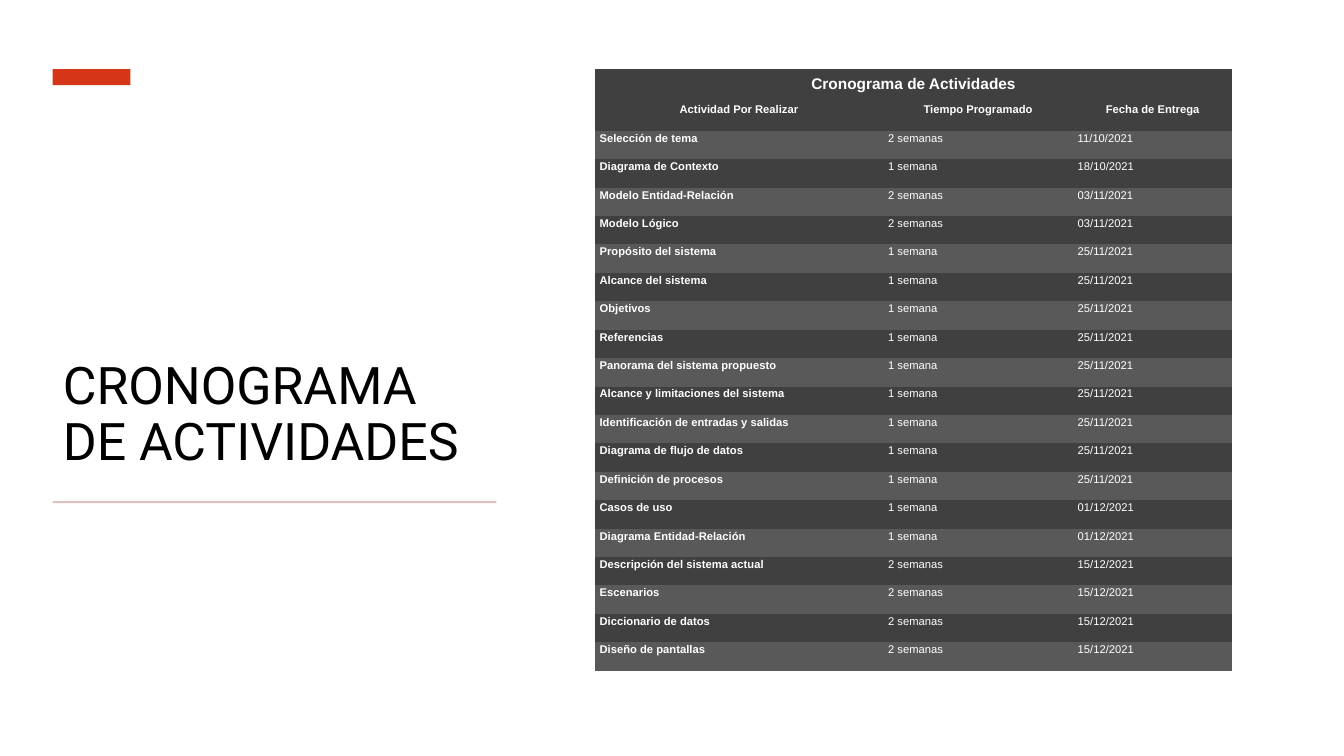
from pptx import Presentation
from pptx.dml.color import RGBColor
from pptx.enum.shapes import MSO_SHAPE
from pptx.enum.text import MSO_ANCHOR, MSO_AUTO_SIZE, PP_ALIGN
from pptx.oxml import parse_xml
from pptx.oxml.ns import nsdecls
from pptx.util import Cm, Pt

HUES = {"text": "000000", "accent": "D53617", "rule": "DBC2BD",
        "dark": "404040", "light": "595959", "white": "FFFFFF"}
PLAIN = "{2D5ABB26-0587-4C30-8999-92F81FD0307C}"  # no style, no grid

TITLE = "CRONOGRAMA DE ACTIVIDADES"
HEAD = "Cronograma de Actividades"
COLS = ("Actividad Por Realizar", "Tiempo Programado", "Fecha de Entrega")
TASKS = [
    ("Selección de tema", "2 semanas", "11/10/2021"),
    ("Diagrama de Contexto", "1 semana", "18/10/2021"),
    ("Modelo Entidad-Relación", "2 semanas", "03/11/2021"),
    ("Modelo Lógico", "2 semanas", "03/11/2021"),
    ("Propósito del sistema", "1 semana", "25/11/2021"),
    ("Alcance del sistema", "1 semana", "25/11/2021"),
    ("Objetivos", "1 semana", "25/11/2021"),
    ("Referencias", "1 semana", "25/11/2021"),
    ("Panorama del sistema propuesto", "1 semana", "25/11/2021"),
    ("Alcance y limitaciones del sistema", "1 semana", "25/11/2021"),
    ("Identificación de entradas y salidas", "1 semana", "25/11/2021"),
    ("Diagrama de flujo de datos", "1 semana", "25/11/2021"),
    ("Definición de procesos", "1 semana", "25/11/2021"),
    ("Casos de uso", "1 semana", "01/12/2021"),
    ("Diagrama Entidad-Relación", "1 semana", "01/12/2021"),
    ("Descripción del sistema actual", "2 semanas", "15/12/2021"),
    ("Escenarios", "2 semanas", "15/12/2021"),
    ("Diccionario de datos", "2 semanas", "15/12/2021"),
    ("Diseño de pantallas", "2 semanas", "15/12/2021"),
]


def hue(name):
    return RGBColor.from_string(HUES[name])


def style(para, font, size, color, bold=False):
    para.font.name = font
    para.font.size = Pt(size)
    para.font.bold = bold
    para.font.color.rgb = hue(color)


def add_bar(slide, x, y, w, h, color):
    bar = slide.shapes.add_shape(MSO_SHAPE.RECTANGLE, Cm(x), Cm(y), Cm(w), Cm(h))
    bar.shadow.inherit = False
    bar.fill.solid()
    bar.fill.fore_color.rgb = hue(color)
    bar.line.fill.background()


def add_intro(slide, x, y, w, h):
    # Accent bar above, thin rule below
    add_bar(slide, x, y, 1.96, 0.41, "accent")
    add_bar(slide, x, y + h - 0.05, w, 0.05, "rule")
    # Title sits above the rule
    title = slide.shapes.title
    title.left, title.top = Cm(x), Cm(y + 1.38)
    title.width, title.height = Cm(w), Cm(8.89)
    frame = title.text_frame
    frame.text = TITLE
    frame.word_wrap = True
    frame.auto_size = MSO_AUTO_SIZE.NONE
    frame.vertical_anchor = MSO_ANCHOR.BOTTOM
    para = frame.paragraphs[0]
    para.alignment = PP_ALIGN.LEFT
    para.line_spacing = 0.9
    style(para, "Roboto", 37, "text")


def edge_left(cell):
    line = parse_xml(
        f'<a:lnL {nsdecls("a")} w="12700"><a:solidFill>'
        f'<a:srgbClr val="{HUES["white"]}"/></a:solidFill></a:lnL>')
    cell._tc.get_or_add_tcPr().insert(0, line)


def fill_cell(cell, text, color, size, bold, align):
    cell.fill.solid()
    cell.fill.fore_color.rgb = hue(color)
    cell.margin_left = cell.margin_right = Cm(0.12)
    cell.margin_top, cell.margin_bottom = Cm(0.03), Cm(0.25)
    cell.text = text
    para = cell.text_frame.paragraphs[0]
    para.alignment = align
    # Hanging indent
    props = para._p.get_or_add_pPr()
    props.set("marL", str(Cm(0.64)))
    props.set("indent", str(-Cm(0.64)))
    style(para, "Arial", size, "white", bold)


def add_plan(slide, x, y, w, h):
    rows = [(HEAD, "", ""), COLS, *TASKS]
    frame = slide.shapes.add_table(len(rows), 3, Cm(x), Cm(y), Cm(w), Cm(h))
    table = frame.table
    table._tbl.tblPr.find("{*}tableStyleId").text = PLAIN
    # Columns and rows
    for col, part in zip(table.columns, (7.27, 4.78, w - 12.05)):
        col.width = Cm(part)
    top = 0.84
    for i, row in enumerate(table.rows):
        row.height = Cm(top if i == 0 else (h - top) / (len(rows) - 1))
    # Cells: two heading rows, then alternating bands
    for i, row in enumerate(rows):
        head = i < 2
        color = "light" if i % 2 == 0 and not head else "dark"
        align = PP_ALIGN.CENTER if head else PP_ALIGN.JUSTIFY
        for j, text in enumerate(row):
            fill_cell(table.cell(i, j), text, color, 11 if i == 0 else 8,
                      head or j == 0, align)
        if i:
            edge_left(table.cell(i, 0))
    table.cell(0, 0).vertical_anchor = MSO_ANCHOR.BOTTOM
    table.cell(0, 0).merge(table.cell(0, 2))


def main():
    deck = Presentation()
    deck.slide_width, deck.slide_height = Cm(33.87), Cm(19.05)
    slide = deck.slides.add_slide(deck.slide_layouts[5])
    add_intro(slide, 1.33, 1.74, 11.18, 10.94)
    add_plan(slide, 14.99, 1.74, 16.07, 15.16)
    deck.save("out.pptx")


if __name__ == "__main__":
    main()
